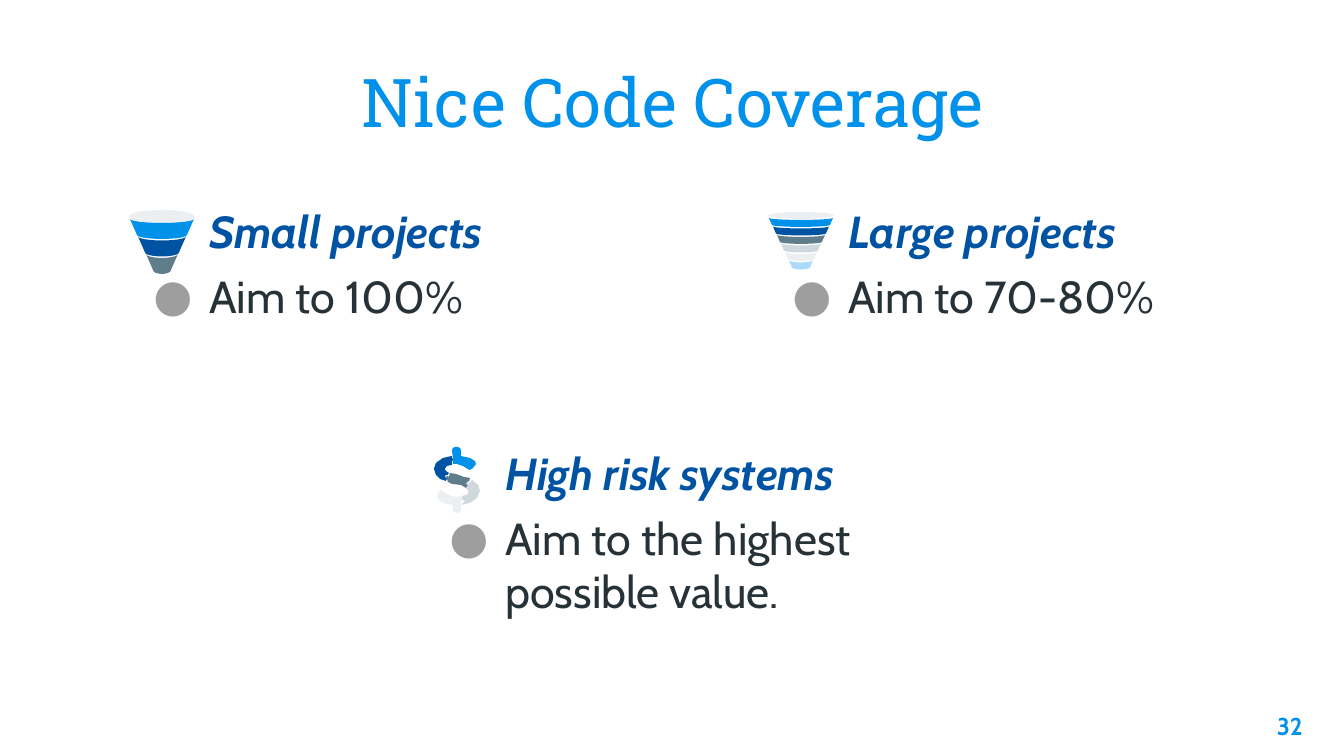
import math
from lxml import etree
from pptx import Presentation
from pptx import util as u
from pptx.dml.color import RGBColor
from pptx.enum import shapes, text
from pptx.oxml import ns

BLUE = RGBColor(0x00, 0x91, 0xEA)
NAVY = RGBColor(0x00, 0x53, 0xA3)
SLATE = RGBColor(0x60, 0x7D, 0x8B)
SILVER = RGBColor(0xCF, 0xD8, 0xDC)
PALE = RGBColor(0xEC, 0xEF, 0xF1)
SKY = RGBColor(0xAC, 0xDB, 0xF8)
INK = RGBColor(0x26, 0x32, 0x38)
BULLET = RGBColor(0x9E, 0x9E, 0x9E)
PX = 914400 / 134.4


def add_outline(icon, points, color):
    corners = [(x * PX, y * PX) for x, y in points]
    builder = icon.shapes.build_freeform(*corners[0], scale=1.0)
    builder.add_line_segments(corners[1:], close=True)
    piece = builder.convert_to_shape()
    piece.shadow.inherit = False
    piece.fill.solid()
    piece.fill.fore_color.rgb = color
    piece.line.fill.background()


def set_text(box, place, paragraphs):
    box.left, box.top, box.width, box.height = [u.Emu(round(v * PX)) for v in place]
    frame = box.text_frame
    frame.word_wrap = True
    frame.auto_size = text.MSO_AUTO_SIZE.NONE
    frame.vertical_anchor = text.MSO_ANCHOR.TOP
    frame.margin_left = frame.margin_right = u.Inches(0.1)
    frame.margin_top = frame.margin_bottom = u.Inches(0.1)
    for i, (words, font_name, size, color, bold, italic, align) in enumerate(paragraphs):
        paragraph = frame.add_paragraph() if i else frame.paragraphs[0]
        paragraph.alignment = align
        run = paragraph.add_run()
        run.text = words
        run.font.name = font_name
        run.font.size = u.Pt(size)
        run.font.color.rgb = color
        run.font.bold = bold
        run.font.italic = italic


prs = Presentation()
prs.slide_width = u.Emu(round(1344 * PX))
prs.slide_height = u.Emu(round(756 * PX))
slide = prs.slides.add_slide(prs.slide_layouts[4])
LEFT, CENTER, RIGHT = text.PP_ALIGN.LEFT, text.PP_ALIGN.CENTER, text.PP_ALIGN.RIGHT

set_text(slide.shapes.title, (339, 47, 667, 109),
         [("Nice Code Coverage", "Roboto Slab", 36, BLUE, False, False, CENTER)])

page_number = slide.shapes.add_textbox(0, 0, 0, 0)
set_text(page_number, (1235, 698, 81, 58), [("32", "Cabin", 13, BLUE, True, False, RIGHT)])

advice = [
    (1, 129, 190, "Small projects", "Aim to 100%"),
    (2, 768, 190, "Large projects", "Aim to 70-80%"),
    (3, 425, 432, "High risk systems", "Aim to the highest possible value."),
]
for idx, left, top, heading, target in advice:
    body = slide.placeholders[idx]
    set_text(body, (left, top, 536, 324), [
        (heading, "Cabin", 24, NAVY, True, True, LEFT),
        (target, "Cabin", 24, INK, False, False, LEFT),
    ])
    for paragraph, indent in zip(body.text_frame.paragraphs, (0, -56)):
        paragraph.space_before = u.Pt(6)
        props = paragraph._p.get_or_add_pPr()
        props.set("marL", str(round(67 * PX)))
        props.set("indent", str(round(indent * PX)))
        if indent:
            tint = etree.SubElement(props, ns.qn("a:buClr"))
            etree.SubElement(tint, ns.qn("a:srgbClr"), val=str(BULLET))
            etree.SubElement(props, ns.qn("a:buFont"), typeface="Cabin")
            etree.SubElement(props, ns.qn("a:buChar"), char="●")
        else:
            etree.SubElement(props, ns.qn("a:buNone"))

unused = slide.placeholders[4].element
unused.getparent().remove(unused)

funnels = [
    (162, 210, 13, 219, 35, 16, 8, 7, 4, [BLUE, NAVY, SLATE]),
    (801, 212, 7, 218, 17, 7, 4, 3, 2, [BLUE, NAVY, SLATE, SILVER, PALE, SKY]),
]
for center, rim_top, rim_height, first, two_steps, height, narrowing, taper, sag, colors in funnels:
    funnel = slide.shapes.add_group_shape()
    rim = funnel.shapes.add_shape(
        shapes.MSO_SHAPE.OVAL,
        *[u.Emu(round(v * PX)) for v in (center - 33, rim_top, 66, rim_height)])
    rim.shadow.inherit = False
    rim.fill.solid()
    rim.fill.fore_color.rgb = PALE
    rim.line.fill.background()
    for i, color in enumerate(colors):
        top = first + i * two_steps / 2
        half = 32 - i * narrowing
        angles = [math.pi * step / 12 for step in range(13)]
        upper = [(center - half * math.cos(a), top + sag * math.sin(a)) for a in angles]
        lower = [(center + (half - taper) * math.cos(a), top + height + sag * math.sin(a))
                 for a in angles]
        add_outline(funnel, upper + lower, color)

dollar_pieces = [
    (SLATE, [(468, 481), (469, 482), (470, 478), (464, 477), (456, 474), (450, 473),
             (449, 477), (447, 476), (446, 477), (447, 479), (448, 482), (452, 484),
             (461, 485), (466, 488), (468, 485), (466, 484)]),
    (BLUE, [(453, 458), (454, 460), (453, 461), (453, 464), (457, 464), (463, 466),
            (468, 469), (470, 470), (473, 468), (476, 464), (475, 461), (470, 458),
            (461, 456), (461, 450), (460, 448), (458, 447), (455, 447), (453, 448),
            (452, 450)]),
    (NAVY, [(446, 481), (447, 479), (445, 477), (446, 475), (448, 475), (449, 473),
            (446, 471), (445, 469), (447, 466), (452, 465), (452, 461), (454, 460),
            (452, 458), (452, 456), (443, 458), (436, 463), (434, 469), (436, 475),
            (440, 479)]),
    (PALE, [(461, 508), (461, 501), (463, 501), (462, 500), (461, 499), (461, 496),
            (457, 497), (451, 496), (444, 492), (441, 490), (438, 493), (437, 497),
            (440, 501), (446, 504), (453, 505), (453, 511), (456, 513), (458, 513),
            (461, 511)]),
    (SILVER, [(472, 480), (469, 484), (468, 482), (466, 484), (469, 485), (466, 488),
              (469, 492), (467, 495), (462, 496), (462, 500), (464, 500), (465, 501),
              (463, 503), (462, 505), (470, 503), (477, 498), (480, 491), (478, 485)]),
]
dollar = slide.shapes.add_group_shape()
for color, points in dollar_pieces:
    add_outline(dollar, points, color)

prs.save("out.pptx")
